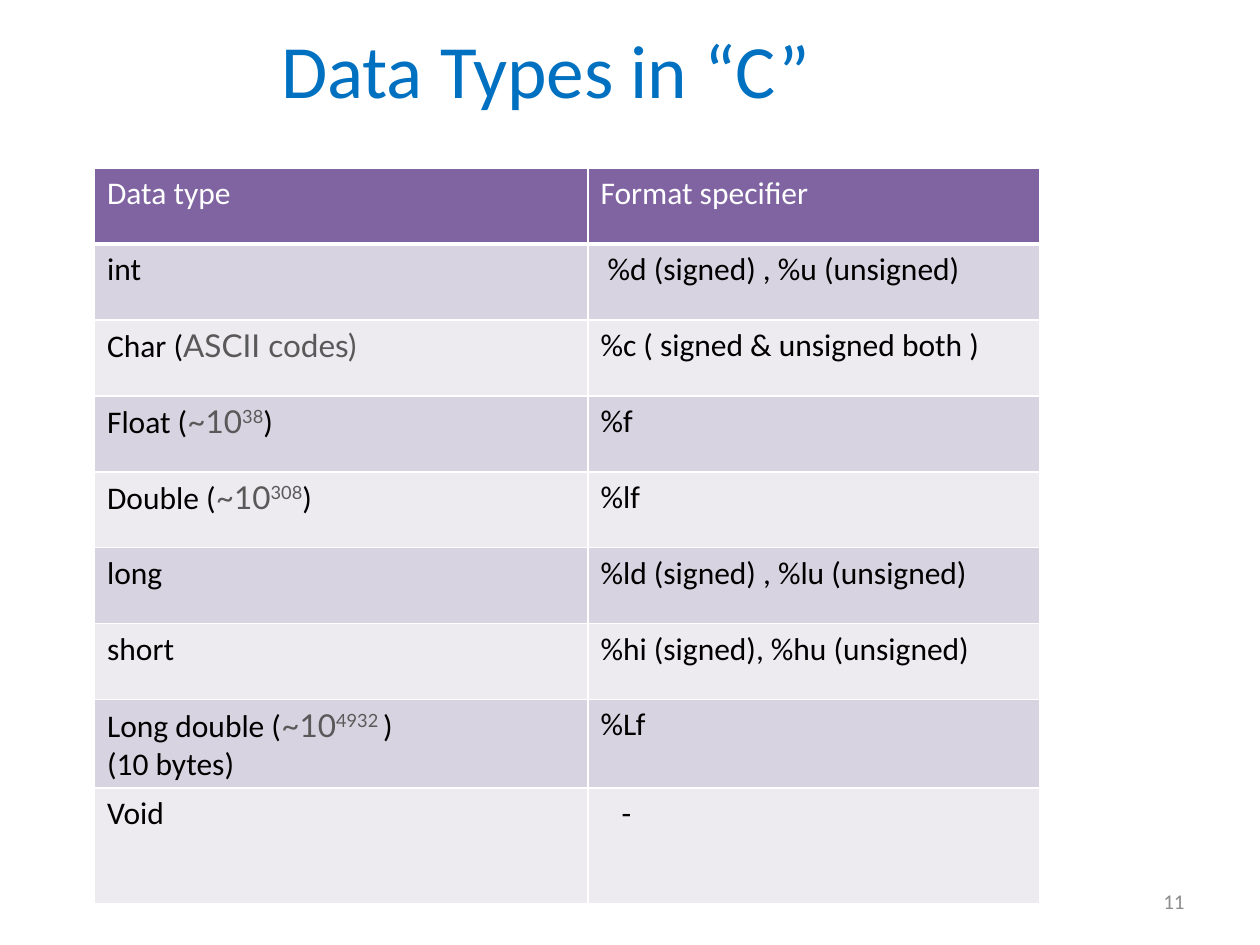
from lxml.etree import SubElement
from pptx import Presentation
from pptx.dml.color import RGBColor
from pptx.enum.text import MSO_ANCHOR, PP_ALIGN
from pptx.oxml.ns import qn
from pptx.util import Pt

HEADER = ("Data type", "Format specifier")
ROWS = [
    ("int", " %d (signed) , %u (unsigned)"),
    ([("Char (", "main"), ("ASCII codes)", "note")], "%c ( signed & unsigned both )"),
    ([("Float (", "main"), ("~10", "note"), ("38", "power"), (")", "main")], "%f"),
    ([("Double (", "main"), ("~10", "note"), ("308", "power"), (")", "main")], "%lf"),
    ("long", "%ld (signed) , %lu (unsigned)"),
    ("short", "%hi (signed), %hu (unsigned)"),
    ([("Long double (", "main"), ("~10", "note"), ("4932 ", "power"), (")\n(10 bytes)", "main")],
     "%Lf"),
    ("Void", "-"),
]
COLUMN_WIDTHS = (282, 258)
ROW_HEIGHTS = [43.4] * 7 + [44.6, 66]
BANDS = ("D8D3E0", "EDEAF0")


def rgb(value):
    """Return the colour for a hex string."""
    return RGBColor.from_string(value)


def style_run(r, size, color, name="Calibri"):
    """Set the font of a run."""
    r.font.size = Pt(size)
    r.font.name = name
    r.font.color.rgb = rgb(color)


def add_label(s, box, text, size, color, align):
    """Place one line of text, centred vertically in a box."""
    tf = s.shapes.add_textbox(*(Pt(v) for v in box)).text_frame
    tf.word_wrap = True
    tf.vertical_anchor = MSO_ANCHOR.MIDDLE
    p = tf.paragraphs[0]
    p.text = text
    p.alignment = align
    style_run(p.runs[0], size, color)


def set_borders(cell, bottom):
    """Draw white borders around a cell, with the given bottom width."""
    tcPr = cell._tc.get_or_add_tcPr()
    for i, (edge, width) in enumerate((("L", 1), ("R", 1), ("T", 1), ("B", bottom))):
        ln = tcPr.makeelement(qn(f"a:ln{edge}"), {"w": str(Pt(width))})
        fill = SubElement(ln, qn("a:solidFill"))
        SubElement(fill, qn("a:srgbClr"), val="FFFFFF")
        tcPr.insert(i, ln)


def fill_cell(cell, content, fill, color, bottom=1):
    """Write the styled runs of a cell and paint it."""
    parts = [(content, "main")] if isinstance(content, str) else content
    p = cell.text_frame.paragraphs[0]
    for text, kind in parts:
        for i, line in enumerate(text.split("\n")):
            if i:
                p = cell.text_frame.add_paragraph()
            r = p.add_run()
            r.text = line
            if kind == "main":
                style_run(r, 18, color)
            else:
                style_run(r, 18, "595959", "Lato")
            if kind == "power":
                r.font._element.set("baseline", "30000")
    if content == "-":
        p._p.get_or_add_pPr().set("marL", str(Pt(12)))
    cell.fill.solid()
    cell.fill.fore_color.rgb = rgb(fill)
    set_borders(cell, bottom)


def add_types_table(s, left, top):
    """Place the table of data types and their format specifiers."""
    shape = s.shapes.add_table(len(ROW_HEIGHTS), len(COLUMN_WIDTHS), Pt(left), Pt(top),
                               Pt(sum(COLUMN_WIDTHS)), Pt(sum(ROW_HEIGHTS)))
    table = shape.table
    for column, width in zip(table.columns, COLUMN_WIDTHS):
        column.width = Pt(width)
    for row, height in zip(table.rows, ROW_HEIGHTS):
        row.height = Pt(height)
    for j, text in enumerate(HEADER):
        fill_cell(table.cell(0, j), text, "8064A2", "FFFFFF", 3)
    for i, row in enumerate(ROWS):
        for j, content in enumerate(row):
            fill_cell(table.cell(i + 1, j), content, BANDS[i % 2], "000000")


def main():
    """Build the slide and save it."""
    prs = Presentation()
    prs.slide_width, prs.slide_height = Pt(720), Pt(540)
    s = prs.slides.add_slide(prs.slide_layouts[6])
    add_label(s, (-12, -6, 648, 90), "Data Types in “C”", 43, "0070C0", PP_ALIGN.CENTER)
    add_types_table(s, 54, 96)
    add_label(s, (516, 500.5, 168, 28.75), "11", 12, "8C8C8C", PP_ALIGN.RIGHT)
    prs.save("out.pptx")


if __name__ == "__main__":
    main()
